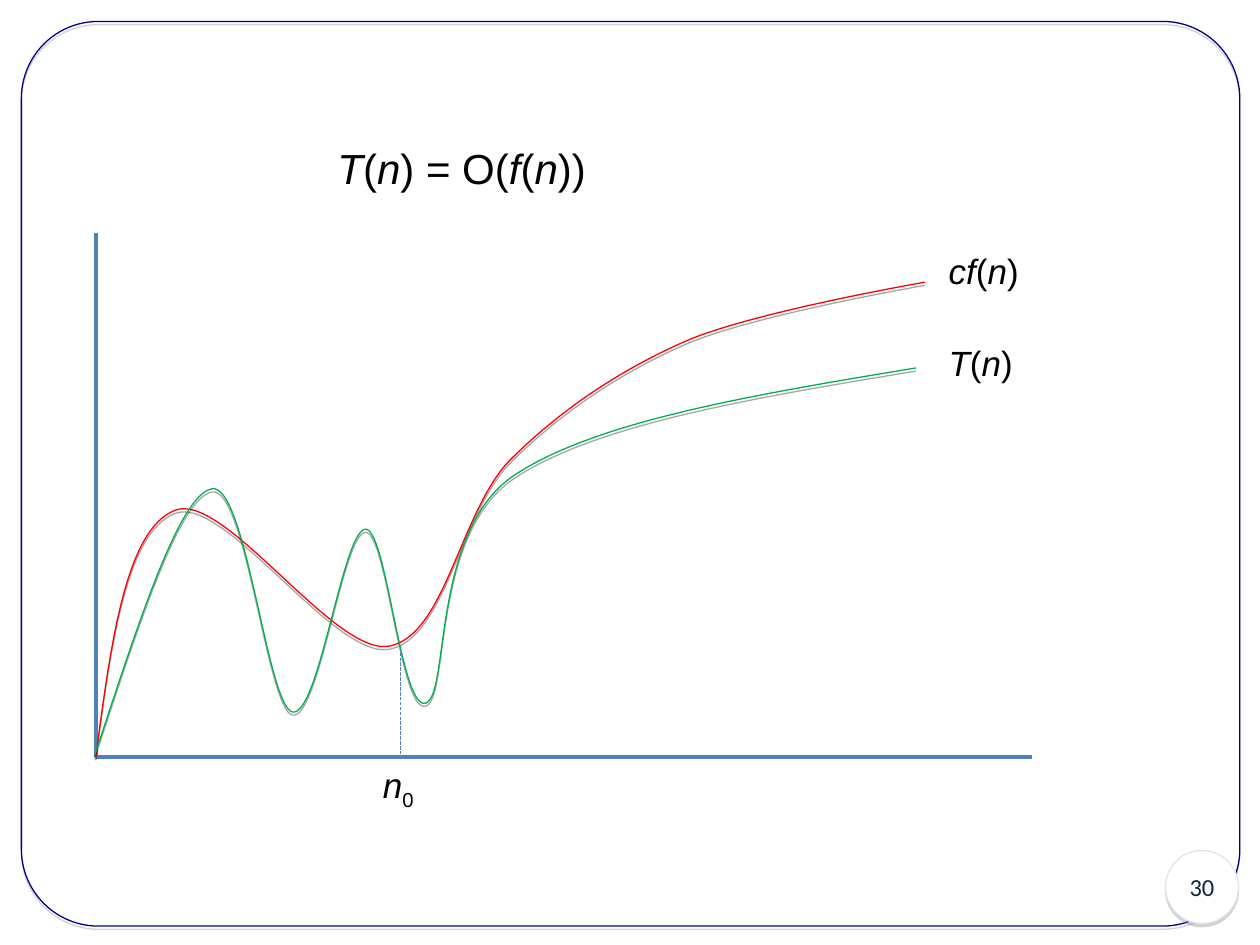
from lxml import etree
from pptx import Presentation
from pptx.dml.color import RGBColor
from pptx.enum.dml import MSO_LINE_DASH_STYLE as Dash
from pptx.enum.shapes import MSO_CONNECTOR, MSO_SHAPE
from pptx.enum.text import MSO_ANCHOR, MSO_AUTO_SIZE, PP_ALIGN
from pptx.oxml.ns import qn
from pptx.util import Inches, Pt

BLACK = RGBColor(0x00, 0x00, 0x00)
WHITE = RGBColor(0xFF, 0xFF, 0xFF)
GRAY = RGBColor(0x80, 0x80, 0x80)
NAVY = RGBColor(0x00, 0x00, 0x90)
PALE_BLUE = RGBColor(0xDC, 0xE6, 0xF2)
DARK_BLUE = RGBColor(0x10, 0x25, 0x3F)
AXIS_BLUE = RGBColor(0x4F, 0x81, 0xBD)
RED = RGBColor(0xFF, 0x00, 0x00)
GREEN = RGBColor(0x00, 0xB0, 0x50)

ORIGIN = (0.76, 6.01)
THRESHOLD_X = 3.18

# Each curve is a start point, then two control points and an end point per segment
BOUND_CURVE = [
    ORIGIN,
    (0.88, 5.1), (1, 4.2), (1.39, 4.05),
    (1.78, 3.9), (2.64, 5.19), (3.08, 5.13),
    (3.53, 5.06), (3.65, 4.07), (4.04, 3.66),
    (4.44, 3.26), (4.91, 2.94), (5.46, 2.7),
    (6.01, 2.47), (7.34, 2.24), (7.34, 2.24),
]
TIME_CURVE = [
    (0.75, 6),
    (1.09, 4.97), (1.42, 3.93), (1.68, 3.88),
    (1.95, 3.82), (2.12, 5.6), (2.32, 5.65),
    (2.53, 5.7), (2.72, 4.21), (2.9, 4.2),
    (3.07, 4.19), (3.18, 5.65), (3.38, 5.58),
    (3.57, 5.51), (3.42, 4.23), (4.07, 3.78),
    (4.72, 3.34), (6, 3.13), (7.27, 2.92),
]


def set_line(shape, color, width):
    shape.line.color.rgb = color
    shape.line.width = Pt(width)


def add_shadow(shape, color):
    """Give the shape a sharp shadow straight below it."""
    shape.shadow.inherit = False
    effects = shape._element.spPr.find(qn("a:effectLst"))
    shadow = etree.SubElement(effects, qn("a:outerShdw"), blurRad="0",
                              dist=str(Pt(1.8)), dir="5400000", rotWithShape="0")
    shade = etree.SubElement(shadow, qn("a:srgbClr"), val=str(color))
    etree.SubElement(shade, qn("a:alpha"), val="35000")


def add_outlined_shape(shapes, kind, box, line_color):
    shape = shapes.add_shape(kind, *map(Inches, box))
    shape.fill.background()
    set_line(shape, line_color, 0.75)
    add_shadow(shape, GRAY)
    return shape


def add_straight_line(shapes, start, end, width, dash=None):
    line = shapes.add_connector(MSO_CONNECTOR.STRAIGHT, *map(Inches, (*start, *end)))
    set_line(line, AXIS_BLUE, width)
    if dash:
        line.line.dash_style = dash
    etree.SubElement(line._element.spPr, qn("a:effectLst"))


def add_curve(shapes, points, color):
    """Draw an open Bezier curve."""
    start, *rest = [(Inches(x), Inches(y)) for x, y in points]
    builder = shapes.build_freeform(*start)
    builder.add_line_segments(rest, close=False)
    curve = builder.convert_to_shape()

    # Turn every three straight steps into one cubic segment
    steps = list(curve._element.iter(qn("a:lnTo")))
    for i in range(0, len(steps), 3):
        cubic = etree.Element(qn("a:cubicBezTo"))
        steps[i].addprevious(cubic)
        for step in steps[i:i + 3]:
            cubic.append(step[0])
            step.getparent().remove(step)

    curve.fill.background()
    set_line(curve, color, 0.75)
    add_shadow(curve, BLACK)


def add_run(paragraph, text, size, font="Arial", color=BLACK, italic=False):
    run = paragraph.add_run()
    run.text = text
    run.font.name = font
    run.font.size = Pt(size)
    run.font.color.rgb = color
    run.font.italic = italic
    return run


def add_formula(shapes, box, parts, size, subscript=None):
    """Write parts that alternate between italic and upright."""
    text_box = shapes.add_textbox(*map(Inches, box))
    frame = text_box.text_frame
    frame.word_wrap = False
    frame.auto_size = MSO_AUTO_SIZE.SHAPE_TO_FIT_TEXT
    paragraph = frame.paragraphs[0]
    for i, part in enumerate(parts):
        add_run(paragraph, part, size, italic=i % 2 == 0)
    if subscript:
        run = add_run(paragraph, subscript, size)
        run._r.get_or_add_rPr().set("baseline", "-25000")


def add_frame(shapes):
    border = add_outlined_shape(shapes, MSO_SHAPE.ROUNDED_RECTANGLE,
                                (0.17, 0.17, 9.67, 7.18), NAVY)
    border.adjustments[0] = 0.085

    badge = add_outlined_shape(shapes, MSO_SHAPE.OVAL, (9.25, 6.75, 0.58, 0.58), PALE_BLUE)
    badge.fill.solid()
    badge.fill.fore_color.rgb = WHITE
    frame = badge.text_frame
    frame.vertical_anchor = MSO_ANCHOR.MIDDLE
    frame.word_wrap = True
    paragraph = frame.paragraphs[0]
    paragraph.alignment = PP_ALIGN.CENTER
    add_run(paragraph, "30", 14, "Calibri", DARK_BLUE)


def add_graph(shapes):
    left, bottom = ORIGIN
    # Axes
    add_straight_line(shapes, ORIGIN, (8.19, bottom), 2)
    add_straight_line(shapes, ORIGIN, (left, 1.85), 2)
    # Curves and the threshold marker
    add_curve(shapes, BOUND_CURVE, RED)
    add_curve(shapes, TIME_CURVE, GREEN)
    add_straight_line(shapes, (THRESHOLD_X, 5.18), (THRESHOLD_X, bottom), 0.25,
                      Dash.LONG_DASH)
    # Labels
    add_formula(shapes, (2.94, bottom, 0.48, 0.48), ["n"], 20, subscript="0")
    add_formula(shapes, (7.43, 1.93, 0.78, 0.44), ["cf", "(", "n", ")"], 20)
    add_formula(shapes, (7.43, 2.66, 0.73, 0.44), ["T", "(", "n", ")"], 20)


def main():
    presentation = Presentation()
    presentation.slide_width = Inches(10)
    presentation.slide_height = Inches(7.5)
    slide = presentation.slides.add_slide(presentation.slide_layouts[6])

    add_frame(slide.shapes)
    add_formula(slide.shapes, (2.58, 1.08, 2.17, 0.5),
                ["T", "(", "n", ") = O(", "f", "(", "n", "))"], 24)
    add_graph(slide.shapes.add_group_shape().shapes)
    presentation.save("out.pptx")


if __name__ == "__main__":
    main()
